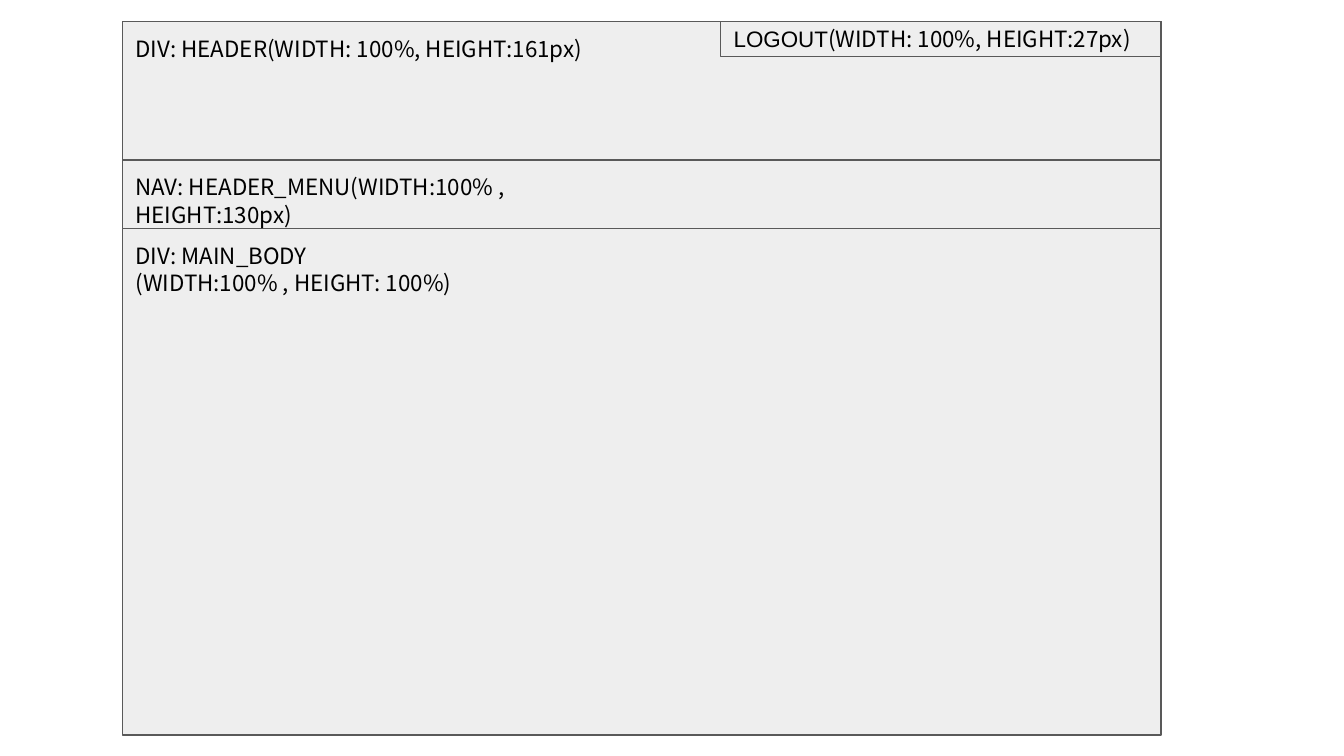
import dataclasses
import pptx
import pptx.dml.color
import pptx.enum.shapes
import pptx.enum.text
import pptx.util

Inches = pptx.util.Inches
Pt = pptx.util.Pt
SANS = "Noto Sans CJK KR"
LEFT, TOP, WIDTH = 0.91, 0.16, 7.73
NAV_TOP, BODY_TOP = 1.19, 1.7


@dataclasses.dataclass
class Panel:
    left: float
    top: float
    width: float
    height: float


@dataclasses.dataclass
class Label:
    top: float
    width: float
    height: float
    lines: list[str]


def color(code: str) -> pptx.dml.color.RGBColor:
    return pptx.dml.color.RGBColor.from_string(code)


def draw_panel(slide, panel: Panel):
    shape = slide.shapes.add_shape(
        pptx.enum.shapes.MSO_SHAPE.RECTANGLE,
        Inches(panel.left), Inches(panel.top),
        Inches(panel.width), Inches(panel.height))
    shape.shadow.inherit = False
    shape.fill.solid()
    shape.fill.fore_color.rgb = color("EEEEEE")
    shape.line.color.rgb = color("595959")
    shape.line.width = Pt(0.75)
    return shape


def set_frame(frame) -> None:
    frame.word_wrap = True
    frame.margin_left = frame.margin_right = Inches(0.1)
    frame.margin_top = frame.margin_bottom = Inches(0.1)


def set_font(para) -> None:
    para.alignment = pptx.enum.text.PP_ALIGN.LEFT
    para.line_spacing = Pt(14.5)
    para.font.size = Pt(12)
    para.font.name = SANS
    para.font.color.rgb = color("000000")


def draw_label(slide, label: Label) -> None:
    box = slide.shapes.add_textbox(
        Inches(LEFT), Inches(label.top),
        Inches(label.width), Inches(label.height))
    frame = box.text_frame
    set_frame(frame)
    frame.auto_size = pptx.enum.text.MSO_AUTO_SIZE.SHAPE_TO_FIT_TEXT
    frame.text = "\n".join(label.lines)
    for para in frame.paragraphs:
        set_font(para)


# Widescreen 16:9 slide
deck = pptx.Presentation()
deck.slide_width = Inches(10)
deck.slide_height = Inches(10 * 9 / 16)
slide = deck.slides.add_slide(deck.slide_layouts[6])

# Page, header and menu panels
draw_panel(slide, Panel(LEFT, TOP, WIDTH, 5.31))
draw_panel(slide, Panel(LEFT, TOP, WIDTH, BODY_TOP - TOP))
draw_panel(slide, Panel(LEFT, NAV_TOP, WIDTH, BODY_TOP - NAV_TOP))

# Logout panel, flush with the right edge
logout = draw_panel(slide, Panel(5.36, TOP, LEFT + WIDTH - 5.36, 0.26))
frame = logout.text_frame
set_frame(frame)
frame.vertical_anchor = pptx.enum.text.MSO_ANCHOR.MIDDLE
para = frame.paragraphs[0]
set_font(para)
for text, font in (("LOGOUT", "Arial"), ("(WIDTH: 100%, HEIGHT:27px)", SANS)):
    run = para.add_run()
    run.text = text
    run.font.name = font

# Section labels
for label in (
    Label(TOP, 4.06, 0.4, ["DIV: HEADER(WIDTH: 100%, HEIGHT:161px)"]),
    Label(NAV_TOP, 4.14, 0.4,
          ["NAV: HEADER_MENU(WIDTH:100% , HEIGHT:130px)"]),
    Label(BODY_TOP, 3.19, 0.61,
          ["DIV: MAIN_BODY", "(WIDTH:100% , HEIGHT: 100%)"]),
):
    draw_label(slide, label)

deck.save("out.pptx")
